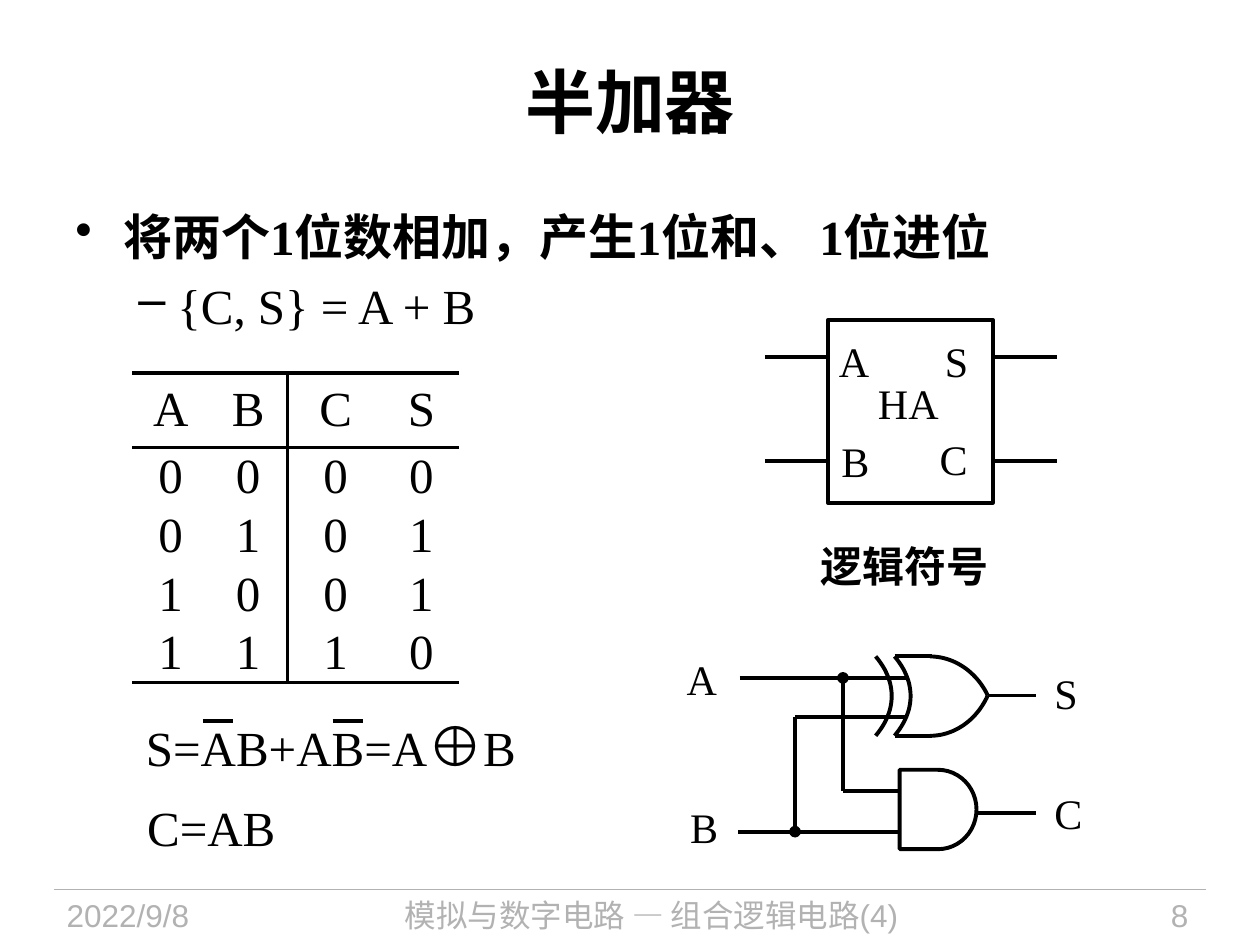
from lxml.etree import SubElement
from pptx import Presentation
from pptx.dml.color import RGBColor
from pptx.enum.shapes import MSO_CONNECTOR, MSO_SHAPE
from pptx.enum.text import MSO_ANCHOR, PP_ALIGN
from pptx.oxml.ns import qn
from pptx.util import Inches, Pt

BLACK = RGBColor(0x00, 0x00, 0x00)
WHITE = RGBColor(0xFF, 0xFF, 0xFF)
GRAY = RGBColor(0xB2, 0xB2, 0xB2)
SERIF = "Times New Roman"
SANS = "Arial"
STROKE = 2.25

TRUTH_TABLE = ["ABCS", "0000", "0101", "1001", "1110"]


def format_run(run, text, size, color=BLACK, name=SERIF, bold=False):
    run.text = text
    run.font.color.rgb = color
    for key, value in {"size": Pt(size), "name": name, "bold": bold}.items():
        setattr(run.font, key, value)


def add_text(slide, box, runs, align=PP_ALIGN.LEFT, wrap=False,
             anchor=MSO_ANCHOR.TOP, **font):
    frame = slide.shapes.add_textbox(*map(Inches, box)).text_frame
    frame.word_wrap = wrap
    frame.vertical_anchor = anchor
    paragraph = frame.paragraphs[0]
    paragraph.alignment = align
    for text, size in runs:
        format_run(paragraph.add_run(), text, size, **font)
    return frame


def add_bullet(paragraph, text, char, margin, indent, bold):
    paragraph.space_after = Pt(5.6)
    format_run(paragraph.add_run(), text, 28, bold=bold)
    properties = paragraph._p.get_or_add_pPr()
    for key, value in {"marL": margin, "indent": indent}.items():
        properties.set(key, str(Inches(value)))
    SubElement(properties, qn("a:buChar")).set("char", char)


def add_line(slide, x1, y1, x2, y2, color=BLACK, width=STROKE, dot=None):
    line = slide.shapes.add_connector(
        MSO_CONNECTOR.STRAIGHT, *map(Inches, (x1, y1, x2, y2)))
    line.line.color.rgb = color
    line.line.width = Pt(width)
    if dot:
        SubElement(line.line._get_or_add_ln(), qn(f"a:{dot}")).set("type", "oval")
    SubElement(line._element.spPr, qn("a:effectLst"))


def outline(shape, fill=None):
    shape.shadow.inherit = False
    if fill is None:
        shape.fill.background()
    else:
        shape.fill.solid()
        shape.fill.fore_color.rgb = fill
    shape.line.color.rgb = BLACK
    shape.line.width = Pt(STROKE)


def add_block(slide, kind, box, fill=None):
    outline(slide.shapes.add_shape(kind, *map(Inches, box)), fill)


def bezier_point(controls, t):
    weights = ((1 - t) ** 3, 3 * t * (1 - t) ** 2, 3 * t ** 2 * (1 - t), t ** 3)
    return tuple(Inches(sum(w * point[axis] for w, point in zip(weights, controls)))
                 for axis in (0, 1))


def add_curve(slide, *controls, steps=24):
    points = [bezier_point(controls, step / steps) for step in range(steps + 1)]
    builder = slide.shapes.build_freeform(*points[0])
    builder.add_line_segments(points[1:], close=False)
    outline(builder.convert_to_shape())


def set_borders(cell, drawn):
    properties = cell._tc.get_or_add_tcPr()
    for side in "LRTB":
        border = SubElement(properties, qn(f"a:ln{side}"), w=str(Pt(STROKE)))
        if side in drawn:
            fill = SubElement(border, qn("a:solidFill"))
            SubElement(fill, qn("a:srgbClr"), val=str(BLACK))
        else:
            SubElement(border, qn("a:noFill"))


def add_truth_table(slide):
    table = slide.shapes.add_table(
        5, 4, *map(Inches, (1.05, 2.96, 2.59, 2.43))).table
    table.first_row = table.horz_banding = False
    for column, width in zip(table.columns, (0.61, 0.62, 0.77, 0.59)):
        column.width = Inches(width)
    for index, row in enumerate(table.rows):
        row.height = Inches(0.46 if index else 0.59)
        for position, (cell, value) in enumerate(zip(row.cells, TRUTH_TABLE[index])):
            edges = {0: "TB", 1: "T", 4: "B"}.get(index, "")
            set_borders(cell, edges + {1: "R", 2: "L"}.get(position, ""))
            cell.fill.background()
            cell.vertical_anchor = MSO_ANCHOR.MIDDLE
            for side in ("left", "right", "top", "bottom"):
                setattr(cell, f"margin_{side}", 0)
            paragraph = cell.text_frame.paragraphs[0]
            paragraph.alignment = PP_ALIGN.CENTER
            format_run(paragraph.add_run(), value, 28)


def add_footer(slide):
    add_line(slide, 0.43, 7.06, 9.57, 7.06, GRAY, 0.75)
    for left, width, text, align in (
            (0.43, 1.88, "2022/9/8", PP_ALIGN.LEFT),
            (2.49, 5.36, "模拟与数字电路 — 组合逻辑电路(4)", PP_ALIGN.CENTER),
            (8.2, 1.33, "8", PP_ALIGN.RIGHT)):
        add_text(slide, (left, 7.06, width, 0.44), [(text, 18)], align, True,
                 color=GRAY, name=SANS)


def add_heading(slide):
    add_text(slide, (0.5, 0.17, 9, 1.25), [("半加器", 40)], PP_ALIGN.CENTER, True,
             MSO_ANCHOR.MIDDLE, name=SANS, bold=True)
    frame = add_text(slide, (0.5, 1.59, 9, 1.45), [], wrap=True)
    add_bullet(frame.paragraphs[0], "将两个1位数相加，产生1位和、 1位进位",
               "•", 0.38, -0.38, True)
    add_bullet(frame.add_paragraph(), "{C, S} = A + B", "–", 0.81, -0.31, False)


def add_equations(slide):
    add_text(slide, (1.06, 5.59, 3.14, 0.63),
             [("S=AB+AB=A", 28), ("⊕", 32), ("B", 28)])
    add_text(slide, (1.07, 6.28, 1.23, 0.57), [("C=AB", 28)])
    for left in (1.61, 2.64):
        add_line(slide, left, 5.72, left + 0.24, 5.72)


def add_labels(slide, labels):
    for text, left, top, width in labels:
        add_text(slide, (left, top, width, 0.5), [(text, 24)])


def add_logic_symbol(slide):
    add_block(slide, MSO_SHAPE.RECTANGLE, (6.57, 2.54, 1.31, 1.45))
    for left in (6.07, 7.89):
        for y in (2.83, 3.66):
            add_line(slide, left, y, left + 0.5, y)
    add_labels(slide, [("A", 6.56, 2.61, 0.44), ("B", 6.58, 3.41, 0.42),
                       ("S", 7.4, 2.61, 0.39), ("C", 7.36, 3.39, 0.43),
                       ("HA", 6.87, 2.95, 0.7)])
    add_text(slide, (6.41, 4.24, 1.54, 0.5), [("逻辑符号", 24)],
             PP_ALIGN.CENTER, bold=True)


def add_xor_gate(slide):
    top, middle, bottom = 5.21, 5.52, 5.84
    for edge, inner in ((top, 5.33), (bottom, 5.72)):
        add_line(slide, 7.1, edge, 7.4, edge)
        add_curve(slide, (7.38, edge), (7.57, edge), (7.75, inner), (7.84, middle))
    for x in (6.95, 7.1):
        add_curve(slide, (x, top), (x + 0.17, 5.41), (x + 0.17, 5.64), (x, bottom))


def add_circuit(slide):
    for wire in ((6.69, 6.28, 7.16, 6.28), (5.87, 5.38, 7.2, 5.38),
                 (5.86, 6.6, 7.16, 6.6), (6.31, 5.69, 7.2, 5.69),
                 (7.84, 5.52, 8.22, 5.52), (7.63, 6.45, 8.22, 6.45)):
        add_line(slide, *wire)
    add_line(slide, 6.69, 5.38, 6.69, 6.28, dot="headEnd")
    add_line(slide, 6.31, 5.69, 6.31, 6.6, dot="tailEnd")
    add_xor_gate(slide)
    add_block(slide, MSO_SHAPE.FLOWCHART_DELAY, (7.14, 6.11, 0.61, 0.63), WHITE)
    add_labels(slide, [("A", 5.35, 5.14, 0.45), ("B", 5.38, 6.31, 0.43),
                       ("S", 8.27, 5.25, 0.39), ("C", 8.27, 6.2, 0.43)])


def main():
    presentation = Presentation()
    presentation.slide_width = Inches(10)
    presentation.slide_height = Inches(7.5)
    slide = presentation.slides.add_slide(presentation.slide_layouts[6])
    for build in (add_footer, add_heading, add_truth_table, add_equations,
                  add_logic_symbol, add_circuit):
        build(slide)
    presentation.save("out.pptx")


if __name__ == "__main__":
    main()
